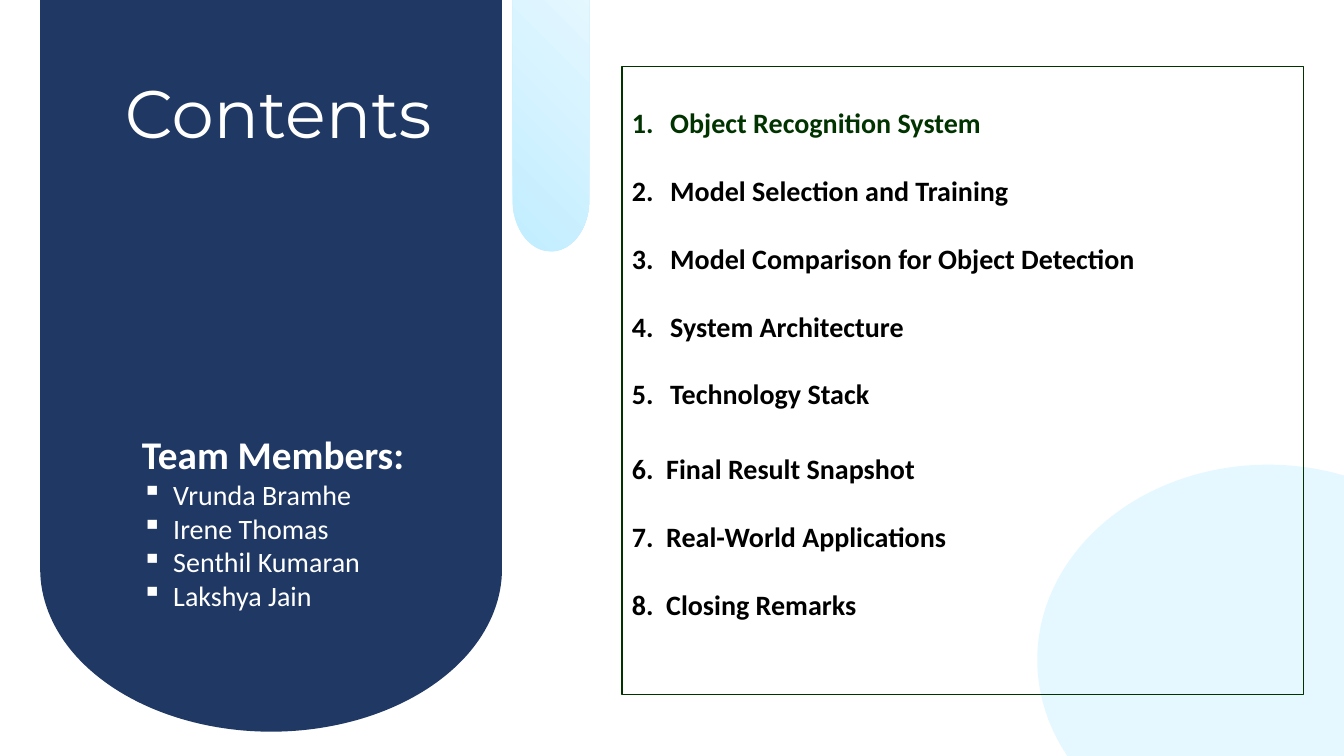
from lxml.etree import SubElement
from pptx import Presentation
from pptx.dml.color import RGBColor
from pptx.enum.shapes import MSO_SHAPE
from pptx.enum.text import MSO_ANCHOR, PP_ALIGN
from pptx.oxml.ns import qn
from pptx.util import Inches, Pt

WIDTH, HEIGHT = Inches(13.33), Inches(7.5)
COLORS = {"navy": "203864", "white": "FFFFFF", "black": "000000", "green": "003300",
          "sky": "C1EDFF", "mist": "EBF9FF", "pale": "E5F8FF"}
TOPICS = ["Object Recognition System", "Model Selection and Training",
          "Model Comparison for Object Detection", "System Architecture",
          "Technology Stack", "Final Result Snapshot", "Real-World Applications",
          "Closing Remarks"]
MEMBERS = ["Vrunda Bramhe", "Irene Thomas", "Senthil Kumaran", "Lakshya Jain"]
TOPIC_GAP, WIDE_GAP = 24.4, 29.3
HANGING_TOPICS = 5


def color(name):
    """Return the named palette colour."""
    return RGBColor.from_string(COLORS[name])


def place(left, top, width, height):
    """Turn percentages of the slide's size into lengths."""
    return (int(WIDTH * left / 100), int(HEIGHT * top / 100),
            int(WIDTH * width / 100), int(HEIGHT * height / 100))


def add_figure(page, preset, area, fill=None, rotation=0):
    """Add a preset shape without shadow or outline."""
    shape = page.shapes.add_shape(preset, *place(*area))
    shape.shadow.inherit = False
    shape.rotation = rotation
    shape.line.fill.background()
    if fill:
        shape.fill.solid()
        shape.fill.fore_color.rgb = color(fill)
    else:
        shape.fill.background()
    return shape


def add_gradient(shape, start, end):
    """Fill a shape with a diagonal blend of two colours."""
    shape.fill.gradient()
    shape.fill.gradient_angle = 315
    for stop, name in zip(shape.fill.gradient_stops, (start, end)):
        stop.color.rgb = color(name)


def add_text_box(page, area):
    """Add a wrapping text box and return its text frame."""
    frame = page.shapes.add_textbox(*place(*area)).text_frame
    frame.word_wrap = True
    return frame


def add_span(para, text, size, name, font="Calibri", bold=False):
    """Add one formatted run to a paragraph."""
    para.alignment = PP_ALIGN.LEFT
    span = para.add_run()
    span.text = text
    span.font.name = font
    span.font.size = Pt(size)
    span.font.bold = bold
    span.font.color.rgb = color(name)


def add_marker(para, indent, tag, **attributes):
    """Give a paragraph a hanging indent and a bullet or number."""
    properties = para._p.get_or_add_pPr()
    properties.set("marL", str(Inches(indent)))
    properties.set("indent", str(-Inches(indent)))
    SubElement(properties, qn(tag), **attributes)


def add_topics(page):
    """Add the framed numbered list of topics."""
    box = add_figure(page, MSO_SHAPE.RECTANGLE, (46.28, 8.8, 50.7, 83.07))
    box.line.color.rgb = color("green")
    box.line.width = Pt(0.75)
    frame = box.text_frame
    frame.word_wrap = True
    frame.vertical_anchor = MSO_ANCHOR.TOP
    frame.margin_top = Inches(0.05) + Pt(TOPIC_GAP)
    for index, topic in enumerate(TOPICS):
        para = frame.add_paragraph() if index else frame.paragraphs[0]
        if index:
            para.space_before = Pt(WIDE_GAP if index == HANGING_TOPICS else TOPIC_GAP)
        indent = 0.38 if index < HANGING_TOPICS else 0.34
        add_marker(para, indent, "a:buFont", typeface="+mj-lt")
        add_marker(para, indent, "a:buAutoNum", type="arabicPeriod")
        add_span(para, topic, 20, "black" if index else "green", bold=True)


def add_team(page):
    """Add the heading and bulleted names of the team."""
    frame = add_text_box(page, (9.83, 56.27, 27.9, 25.6))
    add_span(frame.paragraphs[0], "Team Members:", 28, "white", bold=True)
    for member in MEMBERS:
        para = frame.add_paragraph()
        add_marker(para, 0.31, "a:buChar", char="▪")
        add_span(para, member, 20, "white")


def main():
    """Build the contents slide and save it."""
    deck = Presentation()
    deck.slide_width, deck.slide_height = WIDTH, HEIGHT
    page = deck.slides.add_slide(deck.slide_layouts[6])
    pill = MSO_SHAPE.FLOWCHART_TERMINATOR
    add_figure(page, pill, (-17.48, -0.67, 75.3, 61.07), "navy", 90)
    accent = add_figure(page, pill, (29.1, 7.07, 23.78, 10.13), rotation=270)
    add_gradient(accent, "sky", "mist")
    title = add_text_box(page, (8.55, 8.8, 34.35, 12.13))
    add_span(title.paragraphs[0], "Contents", 48, "white", font="Montserrat")
    add_figure(page, MSO_SHAPE.OVAL, (77.18, 61.47, 34.35, 51.6), "pale")
    add_topics(page)
    add_team(page)
    deck.save("out.pptx")


if __name__ == "__main__":
    main()
